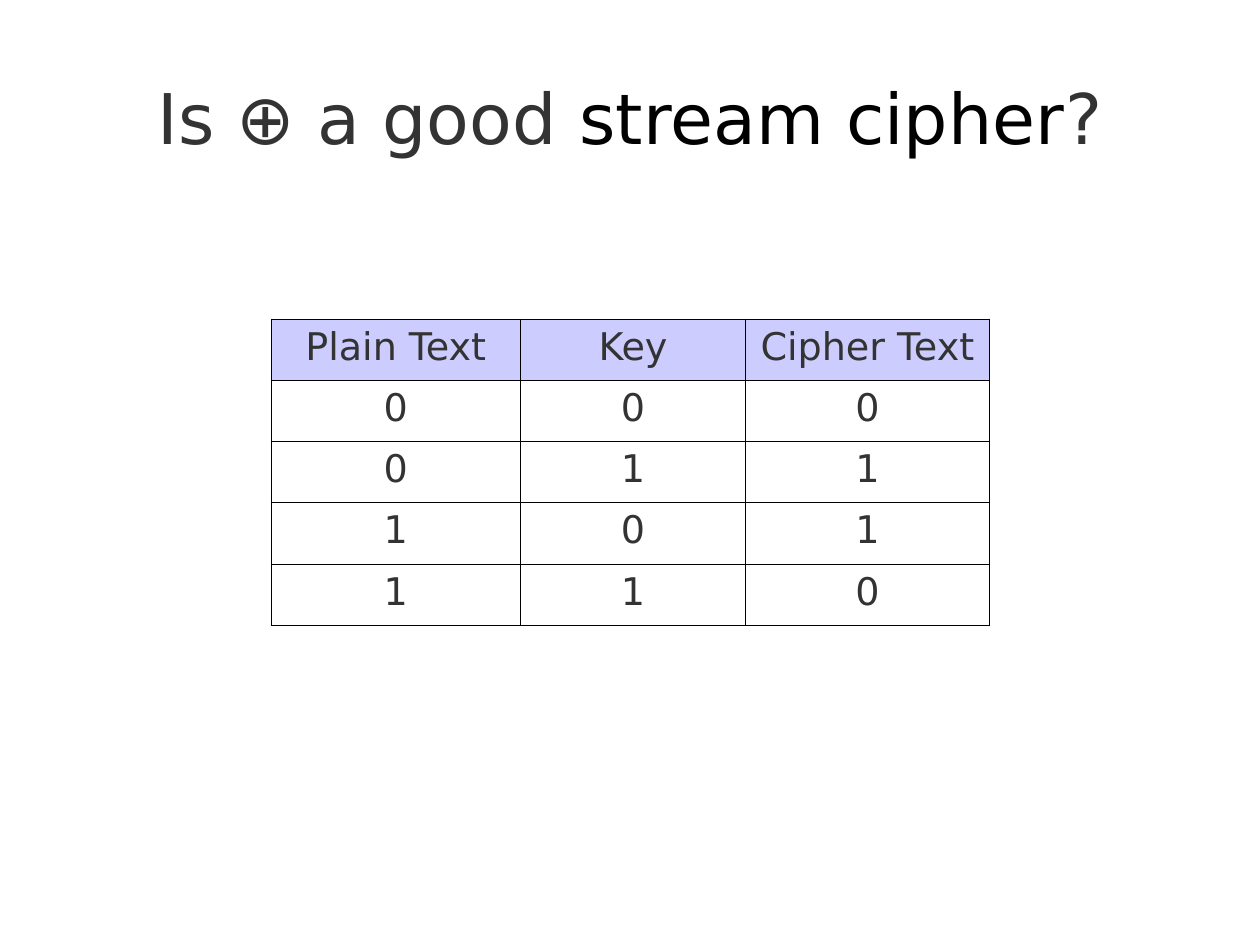
"""Build a slide asking whether XOR is a good stream cipher, with its truth table."""
import itertools

import lxml.etree
import pptx
import pptx.dml.color
import pptx.enum.text
import pptx.oxml.ns
import pptx.util

SLIDE_WIDTH = pptx.util.Cm(28)
SLIDE_HEIGHT = pptx.util.Cm(21)
FONT = "DejaVu Sans"
COLORS = {"text": "333333", "emphasis": "000000", "header": "CCCCFF", "border": "000000"}


def across(percent):
    return round(SLIDE_WIDTH * percent / 100)


def down(percent):
    return round(SLIDE_HEIGHT * percent / 100)


def add_run(paragraph, text, size, color="text"):
    run = paragraph.add_run()
    run.text = text
    run.font.name = FONT
    run.font.size = pptx.util.Pt(size)
    run.font.color.rgb = pptx.dml.color.RGBColor.from_string(COLORS[color])


def add_title(slide, parts):
    title = slide.shapes.add_textbox(across(5), down(4), across(90), down(16.7))
    frame = title.text_frame
    frame.word_wrap = True
    frame.vertical_anchor = pptx.enum.text.MSO_ANCHOR.MIDDLE
    frame.margin_left = frame.margin_right = frame.margin_top = frame.margin_bottom = 0
    question = frame.paragraphs[0]
    question.alignment = pptx.enum.text.PP_ALIGN.CENTER
    for text, color in parts:
        add_run(question, text, 44, color)


def add_borders(cell):
    properties = cell._tc.get_or_add_tcPr()
    qn = pptx.oxml.ns.qn
    for side in "LRTB":
        line = lxml.etree.SubElement(properties, qn(f"a:ln{side}"), w=str(pptx.util.Pt(0.57)))
        fill = lxml.etree.SubElement(line, qn("a:solidFill"))
        lxml.etree.SubElement(fill, qn("a:srgbClr"), val=COLORS["border"])


def fill_cell(cell, text, is_header):
    add_borders(cell)
    if is_header:
        cell.fill.solid()
        cell.fill.fore_color.rgb = pptx.dml.color.RGBColor.from_string(COLORS["header"])
    else:
        cell.fill.background()
    cell.margin_left = cell.margin_right = pptx.util.Inches(0.04)
    cell.margin_top = cell.margin_bottom = pptx.util.Inches(0.05)
    paragraph = cell.text_frame.paragraphs[0]
    paragraph.alignment = pptx.enum.text.PP_ALIGN.CENTER
    add_run(paragraph, text, 24)


def add_truth_table(slide, rows, column_shares):
    truth_table = slide.shapes.add_table(
        len(rows), len(column_shares), across(21.52), down(33.77),
        across(sum(column_shares)), down(6.48 * len(rows))).table
    truth_table.first_row = False
    truth_table.horz_banding = False
    for column, share in zip(truth_table.columns, column_shares):
        column.width = across(share)
    for row_index, row in enumerate(rows):
        for column_index, text in enumerate(row):
            fill_cell(truth_table.cell(row_index, column_index), text, row_index == 0)


def main():
    deck = pptx.Presentation()
    deck.slide_width = SLIDE_WIDTH
    deck.slide_height = SLIDE_HEIGHT
    slide = deck.slides.add_slide(deck.slide_layouts[6])
    add_title(slide, [("Is ⊕ a good ", "text"), ("stream cipher", "emphasis"), ("?", "text")])
    rows = [("Plain Text", "Key", "Cipher Text")]
    for plain, key in itertools.product((0, 1), repeat=2):
        rows.append((str(plain), str(key), str(plain ^ key)))
    add_truth_table(slide, rows, (19.78, 17.88, 19.33))
    deck.save("out.pptx")


if __name__ == "__main__":
    main()
